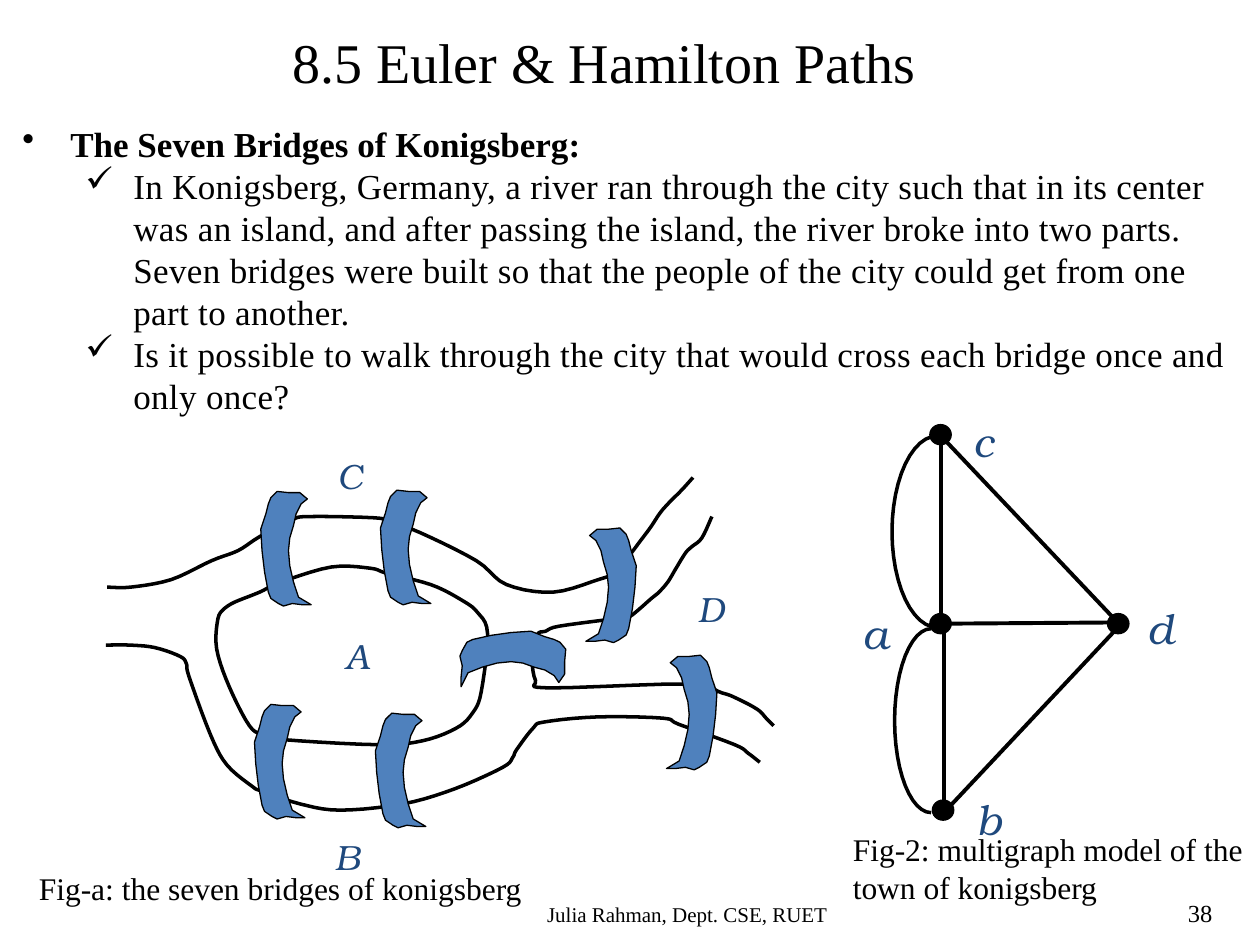
from dataclasses import dataclass
from math import cos, pi, sin

from lxml.etree import SubElement
from pptx import Presentation
from pptx.dml.color import RGBColor as Color
from pptx.enum.shapes import MSO_CONNECTOR as Connector, MSO_SHAPE as Preset
from pptx.enum.text import PP_ALIGN as Align
from pptx.oxml.ns import qn
from pptx.util import Inches, Pt

COLUMNS, ROWS = 10, 7.5
BRIDGE_WIDTH = 0.4


@dataclass(frozen=True)
class Theme:
    """Colours, fonts, type sizes and line weights of the slide."""
    ink: str = "000000"
    label: str = "1F497D"
    bridge: str = "4F81BD"
    serif: str = "Times New Roman"
    script: str = "TeX Gyre Bonum"
    title: int = 32
    body: int = 20
    caption: int = 18
    number: int = 14
    footer: int = 12
    town_label: int = 20
    vertex_label: int = 24
    river: float = 2
    edge: float = 2.25
    outline: float = 0.75


THEME = Theme()

BODY = [
    ("•", 0, 0.38, "The Seven Bridges of Konigsberg:"),
    ("✓", 1, 0.88, "In Konigsberg, Germany, a river ran through the city such that in its "
     "center was an island, and after passing the island, the river broke into two parts. "
     "Seven bridges were built so that the people of the city could get from one part to another."),
    ("✓", 1, 0.88, "Is it possible to walk through the city that would cross each bridge "
     "once and only once?"),
]

NORTH_BANK = [
    (0.85, 4.66), (1.04, 4.66), (1.36, 4.6), (1.68, 4.45), (1.89, 4.37), (2.06, 4.26),
    (2.31, 4.13), (2.45, 4.1), (2.97, 4.11), (3.09, 4.14), (3.34, 4.23), (3.78, 4.45),
    (4.02, 4.64), (4.39, 4.7), (4.75, 4.6), (4.86, 4.56), (4.91, 4.51), (4.98, 4.43),
    (5.07, 4.31), (5.16, 4.19), (5.24, 4.07), (5.31, 3.99), (5.41, 3.89), (5.5, 3.79)]
ISLAND = [
    (1.78, 4.83), (1.86, 4.78), (2.06, 4.7), (2.23, 4.62), (2.63, 4.5), (2.94, 4.51),
    (3.07, 4.55), (3.42, 4.64), (3.66, 4.76), (3.79, 4.86), (3.87, 5.03), (3.82, 5.49),
    (3.75, 5.66), (3.62, 5.78), (3.35, 5.88), (3, 5.91), (2.25, 5.87), (2.09, 5.83),
    (1.98, 5.76), (1.82, 5.45), (1.72, 5.15), (1.73, 4.91), (1.78, 4.83)]
SOUTH_BANK = [
    (0.84, 5.12), (1.03, 5.12), (1.23, 5.14), (1.43, 5.21), (1.48, 5.27), (1.5, 5.37),
    (1.67, 5.83), (1.8, 6.07), (2, 6.24), (2.08, 6.28), (2.38, 6.38), (2.7, 6.43),
    (3.2, 6.38), (3.61, 6.26), (3.99, 6.09), (4.07, 6.01), (4.1, 5.95), (4.23, 5.78),
    (4.32, 5.73), (4.74, 5.69), (5.26, 5.7), (5.39, 5.75), (5.83, 5.91), (5.94, 5.98),
    (6.03, 6.05)]
EAST_BANK = [
    (5.65, 4.1), (5.57, 4.27), (5.49, 4.34), (5.44, 4.39), (5.36, 4.52), (5.3, 4.62),
    (5.23, 4.7), (5.17, 4.75), (4.99, 4.9), (4.89, 4.91), (4.44, 4.97), (4.33, 5.01),
    (4.27, 5.03), (4.24, 5.14), (4.22, 5.21), (4.25, 5.4), (4.35, 5.46), (5.44, 5.43),
    (5.73, 5.5), (5.84, 5.54), (6.01, 5.63), (6.08, 5.7), (6.14, 5.76)]

BRIDGE = [
    (0.13, 0.01), (0.08, 0.06), (0.06, 0.11), (0.04, 0.19), (0.02, 0.25), (0, 0.31),
    (0.01, 0.48), (0.03, 0.65), (0.06, 0.81), (0.08, 0.86), (0.14, 0.9), (0.18, 0.92),
    (0.25, 0.9), (0.33, 0.91), (0.4, 0.91), (0.35, 0.88), (0.3, 0.85), (0.26, 0.73),
    (0.23, 0.6), (0.22, 0.48), (0.23, 0.38), (0.26, 0.28), (0.28, 0.19), (0.32, 0.11),
    (0.37, 0.07), (0.31, 0.02), (0.22, 0.02)]
BRIDGES = [(2.07, 3.89, False), (3.02, 3.88, False), (2.02, 5.58, False),
           (2.98, 5.65, False), (4.65, 4.18, True), (5.29, 5.19, True)]
ISLAND_BRIDGE = (3.85, 4.81, 0.44, 0.84)

TOWNS = [("A", 2.64, 4.99), ("B", 2.56, 6.58), ("C", 2.58, 3.56), ("D", 5.44, 4.61)]
VERTEX_LABELS = [("a", 6.75, 4.77), ("b", 7.65, 6.25), ("c", 7.63, 3.25), ("d", 9.01, 4.73)]
VERTICES = [(7.38, 3.37), (7.38, 4.87), (8.79, 4.87), (7.4, 6.35)]
EDGES = [(7.44, 3.43, 8.88, 4.95), (7.46, 4.95, 8.9, 4.94), (7.49, 6.42, 7.49, 4.94),
         (7.47, 4.9, 7.47, 3.42), (8.9, 4.95, 7.51, 6.43)]
LOOPS = [(7.44, 4.22, 0.36, 0.76), (7.39, 5.72, 0.29, 0.73)]


def units(*lengths):
    """Turn grid columns or rows into slide lengths."""
    return [Inches(length) for length in lengths]


def add_span(para, text, size, font=THEME.serif, color=THEME.ink, bold=False, italic=False):
    """Append one styled run to a paragraph."""
    span = para.add_run()
    span.text = text
    span.font.size, span.font.name = Pt(size), font
    span.font.bold, span.font.italic = bold, italic
    span.font.color.rgb = Color.from_string(color)
    return span


def add_box(page, area, wrap=True):
    """Add an empty text box and return its frame."""
    frame = page.shapes.add_textbox(*units(*area)).text_frame
    frame.word_wrap = wrap
    return frame


def add_text(page, area, text, size, wrap=True, align=Align.LEFT, **style):
    """Add a text box with a single line of thought."""
    para = add_box(page, area, wrap).paragraphs[0]
    para.alignment = align
    add_span(para, text, size, **style)


def add_body(page, area):
    """Add the bulleted heading and its ticked points."""
    frame = add_box(page, area)
    for index, (mark, level, margin, text) in enumerate(BODY):
        para = frame.add_paragraph() if index else frame.paragraphs[0]
        para.level = level
        props = para._p.get_or_add_pPr()
        props.set("marL", str(Inches(margin)))
        props.set("indent", str(-Inches(0.38)))
        SubElement(props, qn("a:buChar")).set("char", mark)
        span = add_span(para, text, THEME.body, bold=level == 0)
        if level:
            span._r.get_or_add_rPr().set("spc", "20")


def paint(shape, weight, fill=None):
    """Set fill and outline and drop the shadow."""
    shape.shadow.inherit = False
    if fill:
        shape.fill.solid()
        shape.fill.fore_color.rgb = Color.from_string(fill)
    else:
        shape.fill.background()
    shape.line.color.rgb = Color.from_string(THEME.ink)
    shape.line.width = Pt(weight)


def add_outline(page, points, weight, fill=None, close=False):
    """Draw a freeform through the points."""
    start, *rest = [tuple(units(*point)) for point in points]
    builder = page.shapes.build_freeform(*start)
    builder.add_line_segments(rest, close=close)
    shape = builder.convert_to_shape()
    paint(shape, weight, fill)
    return shape


def smooth(points, steps=5):
    """Return a Catmull-Rom curve through the points."""
    padded = [points[0], *points, points[-1]]
    curve = []
    for p, q, r, s in zip(padded, padded[1:], padded[2:], padded[3:]):
        for t in (step / steps for step in range(steps)):
            curve.append([
                b + t * (c - a) / 2 + t * t * (a - 2.5 * b + 2 * c - d / 2)
                + t ** 3 * (1.5 * (b - c) + (d - a) / 2)
                for a, b, c, d in zip(p, q, r, s)])
    return [*curve, points[-1]]


def add_bridge(page, left, top, mirrored=False):
    """Draw one curved bridge, optionally facing the other way."""
    points = [(left + (BRIDGE_WIDTH - x if mirrored else x), top + y) for x, y in BRIDGE]
    return add_outline(page, points, THEME.outline, THEME.bridge, close=True)


def add_edge(page, ends):
    """Draw a straight edge between two vertices."""
    edge = page.shapes.add_connector(Connector.STRAIGHT, *units(*ends))
    edge.line.color.rgb = Color.from_string(THEME.ink)
    edge.line.width = Pt(THEME.edge)
    SubElement(edge._element.spPr, qn("a:effectLst"))


def add_loop(page, x, y, across, down, steps=24):
    """Draw the left half of an ellipse as a second edge."""
    angles = [pi * step / steps for step in range(steps + 1)]
    points = [(x - across * sin(angle), y - down * cos(angle)) for angle in angles]
    add_outline(page, points, THEME.river)


def add_labels(page, labels, size, height):
    """Add the italic letters of a figure."""
    for letter, left, top in labels:
        add_text(page, (left, top, 0.4, height), letter, size, wrap=False,
                 font=THEME.script, color=THEME.label, italic=True)


def add_town_map(page):
    """Draw the river, its bridges and the four land areas."""
    for bank in (NORTH_BANK, ISLAND, SOUTH_BANK, EAST_BANK):
        add_outline(page, smooth(bank), THEME.river, close=bank is ISLAND)
    for place in BRIDGES:
        add_bridge(page, *place)
    turned = add_bridge(page, *ISLAND_BRIDGE[:2])
    turned.left, turned.top, turned.width, turned.height = units(*ISLAND_BRIDGE)
    turned.rotation = 90
    add_labels(page, TOWNS, THEME.town_label, 0.43)


def add_multigraph(page):
    """Draw the vertices, edges and letters of the graph."""
    for ends in EDGES:
        add_edge(page, ends)
    for corner in VERTICES:
        paint(page.shapes.add_shape(Preset.OVAL, *units(*corner, 0.17, 0.16)),
              THEME.outline, THEME.ink)
    for loop in LOOPS:
        add_loop(page, *loop)
    add_labels(page, VERTEX_LABELS, THEME.vertex_label, 0.5)


def main():
    """Build the slide and save it."""
    deck = Presentation()
    deck.slide_width, deck.slide_height = units(COLUMNS, ROWS)
    page = deck.slides.add_slide(deck.slide_layouts[6])
    add_body(page, (0.08, 0.92, 9.92, 6.17))
    add_text(page, (9.33, 7.08, 0.67, 0.33), "38", THEME.number)
    add_text(page, (2.58, 7.11, 5.75, 0.3), "Julia Rahman, Dept. CSE, RUET",
             THEME.footer, align=Align.CENTER)
    add_text(page, (2.22, 0.17, 6.12, 0.64), "8.5 Euler & Hamilton Paths", THEME.title)
    add_town_map(page)
    add_multigraph(page)
    add_text(page, (0.21, 6.85, 4.14, 0.4), "Fig-a: the seven bridges of konigsberg",
             THEME.caption, wrap=False)
    add_text(page, (6.67, 6.54, 3.83, 0.71),
             "Fig-2: multigraph model of the town of konigsberg", THEME.caption)
    deck.save("out.pptx")


if __name__ == "__main__":
    main()
